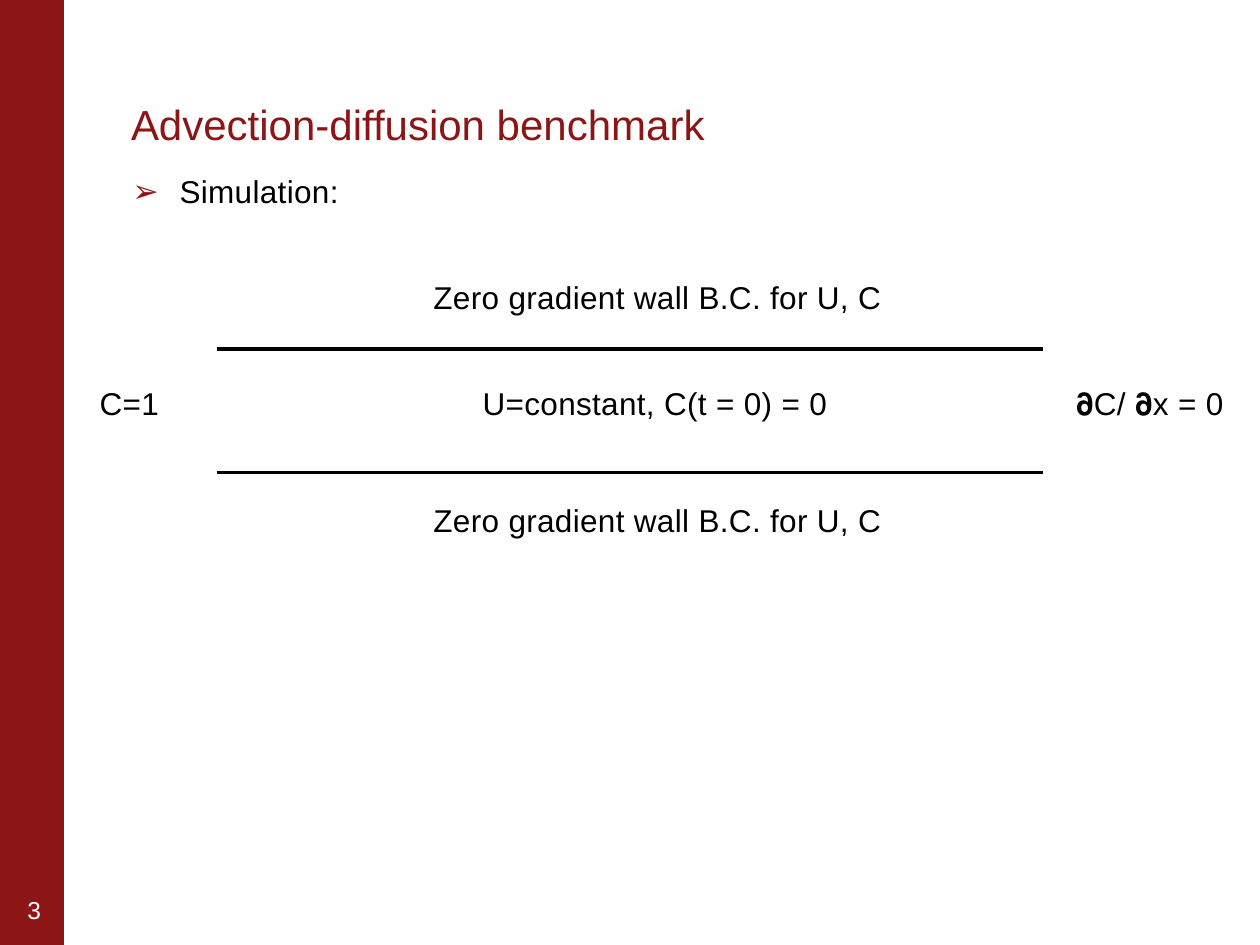
import pptx
import pptx.dml.color
import pptx.enum.shapes
import pptx.enum.text
import pptx.oxml.ns
import pptx.util
from lxml import etree

Pt = pptx.util.Pt
qn = pptx.oxml.ns.qn
ANCHOR = pptx.enum.text.MSO_ANCHOR
COLORS = {"cardinal": "8C1515", "black": "000000", "white": "FFFFFF"}
FONT = "Arial"


def rgb(name):
    return pptx.dml.color.RGBColor.from_string(COLORS[name])


def add_sidebar(slide):
    sp = slide.shapes.add_shape(
        pptx.enum.shapes.MSO_SHAPE.RECTANGLE, Pt(0), Pt(0), Pt(36), Pt(540.5))
    sp.shadow.inherit = False
    sp.fill.solid()
    sp.fill.fore_color.rgb = rgb("cardinal")
    sp.line.color.rgb = rgb("cardinal")
    sp.line.width = Pt(0.75)


def add_text(slide, text, box, size=18, color="black", anchor=ANCHOR.TOP,
             left_inset=0, right_inset=0):
    sp = slide.shapes.add_textbox(*[Pt(v) for v in box])
    tf = sp.text_frame
    tf.word_wrap = True
    tf.vertical_anchor = anchor
    tf.margin_left, tf.margin_right = Pt(left_inset), Pt(right_inset)
    tf.margin_top = tf.margin_bottom = Pt(3.6)
    p = tf.paragraphs[0]
    r = p.add_run()
    r.text = text
    r.font.name = FONT
    r.font.size = Pt(size)
    r.font.color.rgb = rgb(color)
    return p


def add_body_text(slide, text, box):
    p = add_text(slide, text, box)
    p.space_before = Pt(2)
    p.runs[0].font._element.set("spc", "20")
    return p


def add_bullet(p, char, color, indent):
    pPr = p._p.get_or_add_pPr()
    pPr.set("marL", str(Pt(indent)))
    pPr.set("indent", str(-Pt(indent)))
    clr = etree.SubElement(pPr, qn("a:buClr"))
    etree.SubElement(clr, qn("a:srgbClr")).set("val", COLORS[color])
    etree.SubElement(pPr, qn("a:buFont")).set("typeface", FONT)
    etree.SubElement(pPr, qn("a:buChar")).set("char", char)


def add_wall(slide, y):
    s = slide.shapes.add_connector(
        pptx.enum.shapes.MSO_CONNECTOR.STRAIGHT, Pt(123.8), Pt(y), Pt(596.2), Pt(y))
    s.line.color.rgb = rgb("black")
    s.line.width = Pt(2.08)
    etree.SubElement(s._element.spPr, qn("a:effectLst"))


def main():
    prs = pptx.Presentation()
    prs.slide_width, prs.slide_height = Pt(720), Pt(540)
    slide = prs.slides.add_slide(prs.slide_layouts[6])

    add_sidebar(slide)
    title = add_text(slide, "Advection-diffusion benchmark", (74.9, 37.4, 607, 51.1),
                     24, "cardinal", ANCHOR.BOTTOM, right_inset=7.2)
    title.line_spacing = 0.85
    body = add_body_text(slide, "Simulation:", (75.6, 95, 606.2, 394.6))
    add_bullet(body, "➢", "cardinal", 27)
    add_text(slide, "3", (8.6, 505.4, 67, 28.8), 14, "white", ANCHOR.MIDDLE,
             left_inset=7.2, right_inset=7.2)

    for y in (199.6, 270):
        add_wall(slide, y)
    for y in (155.5, 283):
        add_body_text(slide, "Zero gradient wall B.C. for U, C", (247.7, y, 299.5, 41))
    for text, x, width in (("C=1", 57, 67),
                           ("U=constant, C(t = 0) = 0", 275.8, 220.3),
                           ("𝛛C/ 𝛛x = 0", 615, 96.5)):
        add_body_text(slide, text, (x, 216, width, 41))

    prs.save("out.pptx")


if __name__ == "__main__":
    main()
